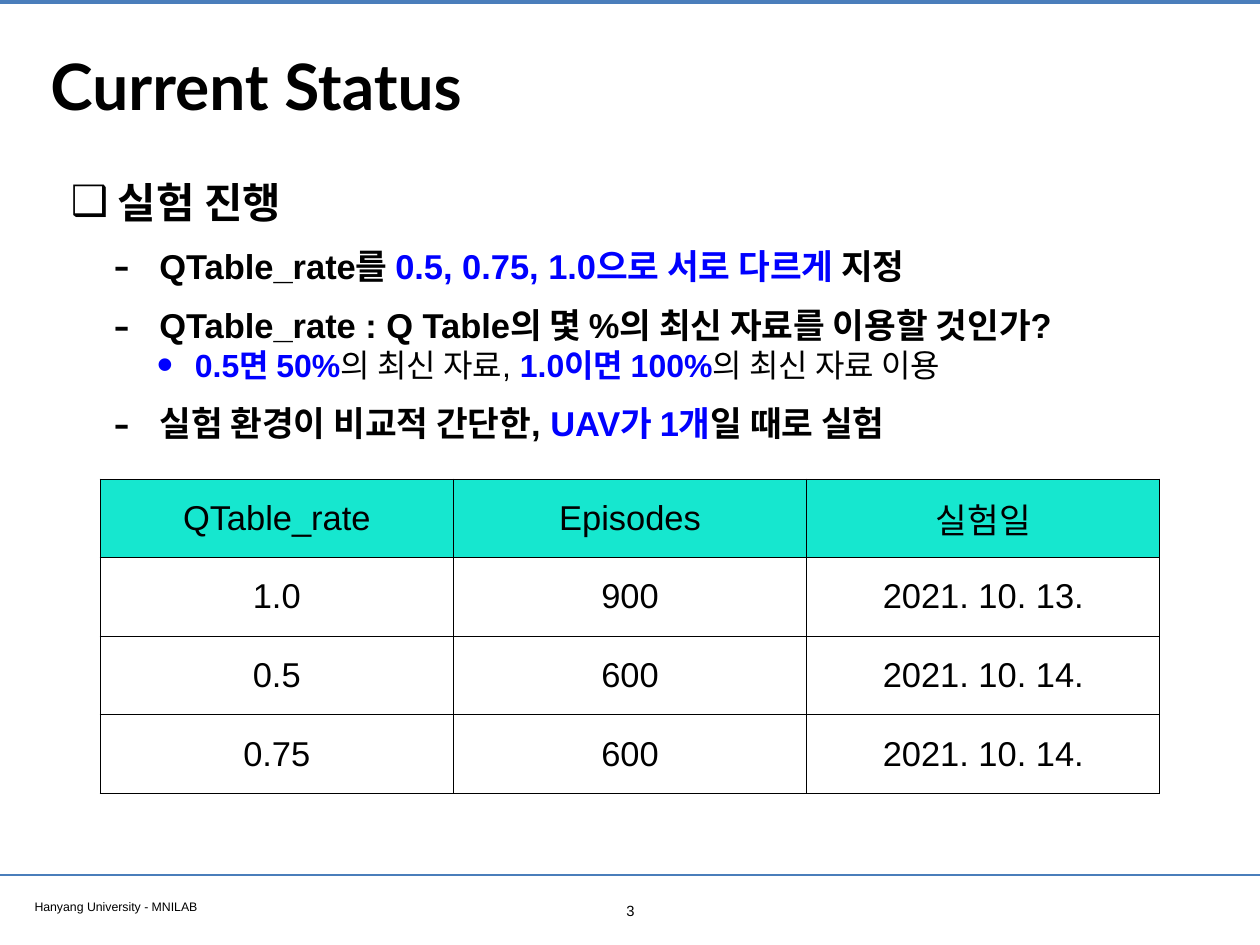
from dataclasses import dataclass

from lxml.etree import SubElement
from pptx import Presentation
from pptx.dml.color import RGBColor
from pptx.enum.shapes import MSO_CONNECTOR
from pptx.enum.text import MSO_ANCHOR, PP_ALIGN
from pptx.oxml.ns import qn
from pptx.util import Inches, Pt

COLORS = {
    "text": "000000",
    "accent": "0000FF",
    "rule": "4A7EBB",
    "header": "16E7CF",
    "paper": "FFFFFF",
}
WIDTH, HEIGHT = 14.22, 10.67


@dataclass(frozen=True)
class Span:
    text: str
    color: str = "text"
    bold: bool = True


@dataclass(frozen=True)
class Level:
    size: float
    indent: float
    hanging: float
    bullet: str
    bullet_percent: int
    line_spacing: float
    space_before: float


@dataclass(frozen=True)
class Point:
    level: int
    spans: tuple


@dataclass(frozen=True)
class Rule:
    y: float
    weight: float


LEVELS = (
    Level(34, 0.53, 0.53, "❑", 100, 1.2, 0),
    Level(28, 1.0, 0.52, "-", 145, 1.2, 8),
    Level(26, 1.4, 0.43, "•", 145, 1.0, 0),
)
POINTS = (
    Point(0, (Span("실험 진행"),)),
    Point(1, (Span("QTable_rate를 "),
              Span("0.5, 0.75, 1.0으로 서로 다르게 ", "accent"),
              Span("지정"))),
    Point(1, (Span("QTable_rate : Q Table의 몇 %의 최신 자료를 이용할 것인가?"),)),
    Point(2, (Span("0.5면 50%", "accent"),
              Span("의 최신 자료, ", bold=False),
              Span("1.0이면 100%", "accent"),
              Span("의 최신 자료 이용", bold=False))),
    Point(1, (Span("실험 환경이 비교적 간단한, "),
              Span("UAV가 1개", "accent"),
              Span("일 때로 실험"))),
)
EXPERIMENTS = (
    ("QTable_rate", "Episodes", "실험일"),
    ("1.0", "900", "2021. 10. 13."),
    ("0.5", "600", "2021. 10. 14."),
    ("0.75", "600", "2021. 10. 14."),
)
RULES = (Rule(0.02, 3.2), Rule(9.88, 2))


def rgb(name: str) -> RGBColor:
    return RGBColor.from_string(COLORS[name])


def write(paragraph, text: str, *, size: float, font: str = "Arial",
          color: str = "text", bold: bool = False, align=None) -> None:
    """Append one formatted run to the paragraph."""
    if align is not None:
        paragraph.alignment = align
    run = paragraph.add_run()
    run.text = text
    run.font.size = Pt(size)
    run.font.name = font
    run.font.bold = bold
    run.font.color.rgb = rgb(color)


def add_frame(slide, left: float, top: float, width: float, height: float,
              anchor=MSO_ANCHOR.TOP):
    """Add an empty wrapping text box and return its text frame."""
    frame = slide.shapes.add_textbox(
        Inches(left), Inches(top), Inches(width), Inches(height)).text_frame
    frame.word_wrap = True
    frame.vertical_anchor = anchor
    frame.margin_left = frame.margin_right = Inches(0.06)
    frame.margin_top = frame.margin_bottom = Inches(0.06)
    return frame


def add_rule(slide, rule: Rule) -> None:
    line = slide.shapes.add_connector(
        MSO_CONNECTOR.STRAIGHT, 0, Inches(rule.y), Inches(WIDTH), Inches(rule.y))
    line.line.color.rgb = rgb("rule")
    line.line.width = Pt(rule.weight)
    SubElement(line._element.spPr, qn("a:effectLst"))


def format_level(paragraph, depth: int) -> None:
    level = LEVELS[depth]
    paragraph.level = depth
    paragraph.line_spacing = level.line_spacing
    paragraph.space_before = Pt(level.space_before)
    properties = paragraph._p.get_or_add_pPr()
    properties.set("marL", str(Inches(level.indent)))
    properties.set("indent", str(-Inches(level.hanging)))
    SubElement(properties, qn("a:buSzPct"), val=str(level.bullet_percent * 1000))
    SubElement(properties, qn("a:buFont"), typeface="Arial")
    SubElement(properties, qn("a:buChar"), char=level.bullet)


def add_points(slide) -> None:
    frame = add_frame(slide, 0.74, 1.82, 12.75, 3.44)
    for index, point in enumerate(POINTS):
        paragraph = frame.add_paragraph() if index else frame.paragraphs[0]
        format_level(paragraph, point.level)
        for span in point.spans:
            write(paragraph, span.text, size=LEVELS[point.level].size,
                  color=span.color, bold=span.bold)


def border_cell(cell) -> None:
    """Draw thin black borders; they must precede the fill in the XML."""
    properties = cell._tc.get_or_add_tcPr()
    for position, side in enumerate(("lnL", "lnR", "lnT", "lnB")):
        border = SubElement(properties, qn(f"a:{side}"), w=str(Pt(1)))
        fill = SubElement(border, qn("a:solidFill"))
        SubElement(fill, qn("a:srgbClr"), val=COLORS["text"])
        properties.insert(position, border)


def add_experiments(slide) -> None:
    table = slide.shapes.add_table(
        len(EXPERIMENTS), len(EXPERIMENTS[0]),
        Inches(1.13), Inches(5.41), Inches(11.96), Inches(3.55)).table
    table.first_row = False
    table.horz_banding = False
    for row, values in enumerate(EXPERIMENTS):
        for column, value in enumerate(values):
            cell = table.cell(row, column)
            cell.vertical_anchor = MSO_ANCHOR.MIDDLE
            cell.fill.solid()
            cell.fill.fore_color.rgb = rgb("paper" if row else "header")
            border_cell(cell)
            write(cell.text_frame.paragraphs[0], value, size=28,
                  align=PP_ALIGN.CENTER)


def main() -> None:
    deck = Presentation()
    deck.slide_width, deck.slide_height = Inches(WIDTH), Inches(HEIGHT)
    slide = deck.slides.add_slide(deck.slide_layouts[6])
    for rule in RULES:
        add_rule(slide, rule)
    footer = add_frame(slide, 0.33, 10.09, 5.46, 0.26)
    write(footer.paragraphs[0], "Hanyang University - MNILAB", size=10)
    title = add_frame(slide, 0.51, 0.28, 13.21, 1.35, MSO_ANCHOR.MIDDLE)
    write(title.paragraphs[0], "Current Status", size=52, font="Lato", bold=True)
    add_points(slide)
    page = add_frame(slide, 6.92, 10.12, 0.39, 0.31)
    write(page.paragraphs[0], "3", size=12, align=PP_ALIGN.CENTER)
    add_experiments(slide)
    deck.save("out.pptx")


if __name__ == "__main__":
    main()
